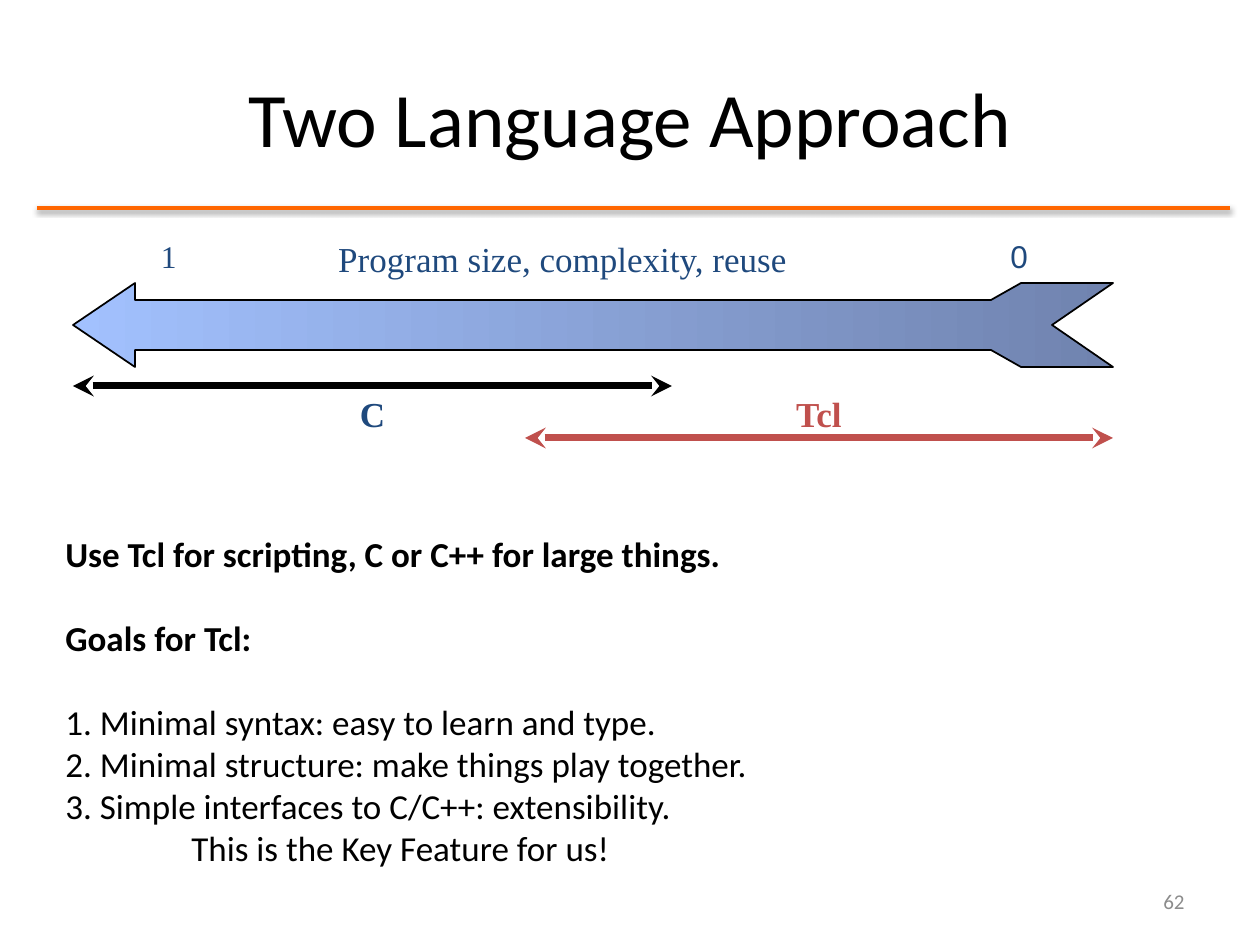
from lxml import etree
from pptx import Presentation, util as u
from pptx.dml.color import RGBColor
from pptx.enum import shapes, text
from pptx.oxml import parse_xml
from pptx.oxml.ns import qn, nsdecls

PX = u.Inches(1) / 126
HUE = {"ink": "000000", "navy": "1F497D", "red": "C0504D", "rule": "FF6600",
       "gray": "8C8C8C", "light": "A2C1FE", "dark": "7083AF"}
LEFT, MID, RIGHT = text.PP_ALIGN.LEFT, text.PP_ALIGN.CENTER, text.PP_ALIGN.RIGHT
SERIF = "Times New Roman"


def rgb(name):
    return RGBColor.from_string(HUE[name])


def px(*nums):
    return [round(n * PX) for n in nums]


prs = Presentation()
prs.slide_width, prs.slide_height = px(1260, 945)
slide = prs.slides.add_slide(prs.slide_layouts[6])
draw = slide.shapes

# Rule under the title, then the two ranges
lines = [
    (37, 208, 1230, "rule", 2, False),
    (73, 386, 672, "ink", 4, True),
    (525, 438, 1113, "red", 4, True),
]
for x, y, end, hue, size, heads in lines:
    line = draw.add_connector(shapes.MSO_CONNECTOR.STRAIGHT, *px(x, y, end, y))
    line.line.color.rgb = rgb(hue)
    line.line.width = u.Pt(size)
    if heads:
        ln = line.line._get_or_add_ln()
        for tag in ("a:headEnd", "a:tailEnd"):
            etree.SubElement(ln, qn(tag), type="stealth")
        shade = ""
    else:
        shade = ('<a:outerShdw blurRad="39370" dist="20320" dir="5400000">'
                 '<a:srgbClr val="000000"><a:alpha val="38000"/></a:srgbClr>'
                 '</a:outerShdw>')
    line._element.spPr.append(
        parse_xml(f'<a:effectLst {nsdecls("a")}>{shade}</a:effectLst>'))

# Scale arrow, from 0 on the right to 1 on the left
top = [(1113, 283), (1021, 283), (991, 300), (135, 300), (135, 283)]
axis = 325
low = [(x, 2 * axis - y) for x, y in reversed(top)]
pen = draw.build_freeform(*top[0], scale=PX)
pen.add_line_segments(top[1:] + [(73, axis)] + low + [(1052, axis)], close=True)
arrow = pen.convert_to_shape()
arrow.shadow.inherit = False
arrow.fill.gradient()
arrow.fill.gradient_angle = 0
for stop, hue, place in zip(arrow.fill.gradient_stops, ("light", "dark"), (0, 1)):
    stop.color.rgb = rgb(hue)
    stop.position = place
arrow.line.color.rgb = rgb("ink")
arrow.line.width = u.Pt(1)

# Single-line texts: words, box, font, size, colour, bold, alignment, centred
labels = [
    ("Two Language Approach", (63, 38, 1134, 158), "Calibri", 44, "ink", False, MID, True),
    ("Program size, complexity, reuse", (300, 231, 525, 55), SERIF, 20, "navy", False, MID, False),
    ("1", (63, 231, 126, 50), SERIF, 18, "navy", False, RIGHT, False),
    ("0", (998, 231, 126, 50), "Arial", 18, "navy", False, LEFT, False),
    ("C", (73, 386, 599, 55), SERIF, 20, "navy", True, MID, False),
    ("Tcl", (525, 386, 588, 55), SERIF, 20, "red", True, MID, False),
    ("62", (903, 876, 294, 50), "Calibri", 12, "gray", False, RIGHT, True),
]
for words, box, face, size, hue, bold, align, center in labels:
    frame = draw.add_textbox(*px(*box)).text_frame
    frame.word_wrap = True
    if center:
        frame.vertical_anchor = text.MSO_ANCHOR.MIDDLE
    para = frame.paragraphs[0]
    para.text, para.alignment = words, align
    form = {"name": face, "size": u.Pt(size), "bold": bold}
    for key, val in form.items():
        setattr(para.font, key, val)
    para.font.color.rgb = rgb(hue)

# Goals: words, bold, space before in points, indent
goals = [
    ("Use Tcl for scripting, C or C++ for large things.", True, 0, 0),
    ("Goals for Tcl:", True, 24, 0),
    ("1. Minimal syntax: easy to learn and type.", False, 24, 0),
    ("2. Minimal structure: make things play together.", False, 0, 0),
    ("3. Simple interfaces to C/C++: extensibility.", False, 0, 0),
    ("This is the Key Feature for us!", False, 0, 126),
]
frame = draw.add_textbox(*px(53, 526, 730, 352)).text_frame
frame.word_wrap = True
for i, (words, bold, gap, dent) in enumerate(goals):
    para = frame.add_paragraph() if i else frame.paragraphs[0]
    para.text = words
    if gap:
        para.space_before = u.Pt(gap)
    if dent:
        para._p.get_or_add_pPr().set("marL", str(px(dent)[0]))
    form = {"name": "Calibri", "size": u.Pt(20), "bold": bold}
    for key, val in form.items():
        setattr(para.font, key, val)
    para.font.color.rgb = rgb("ink")

prs.save("out.pptx")
